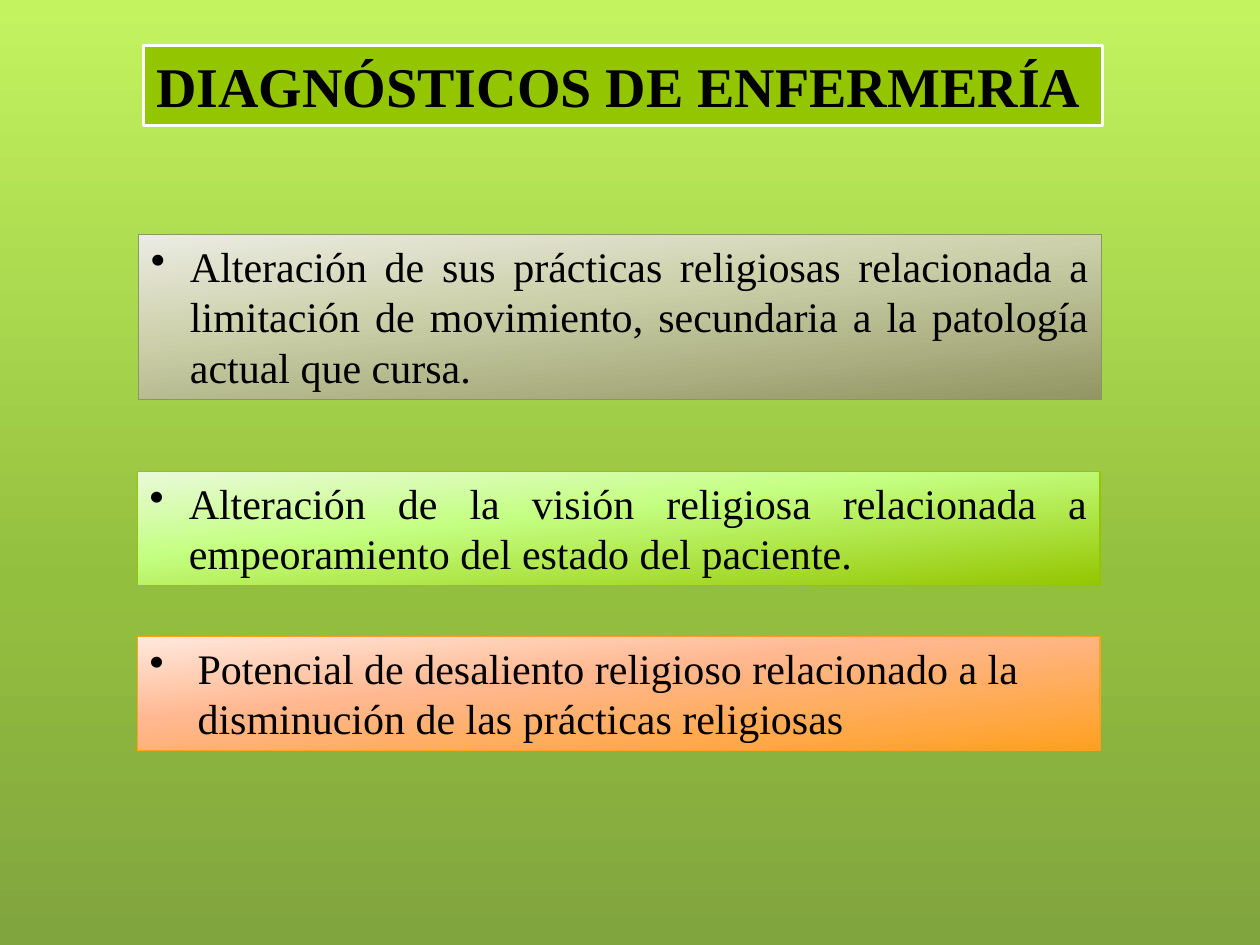
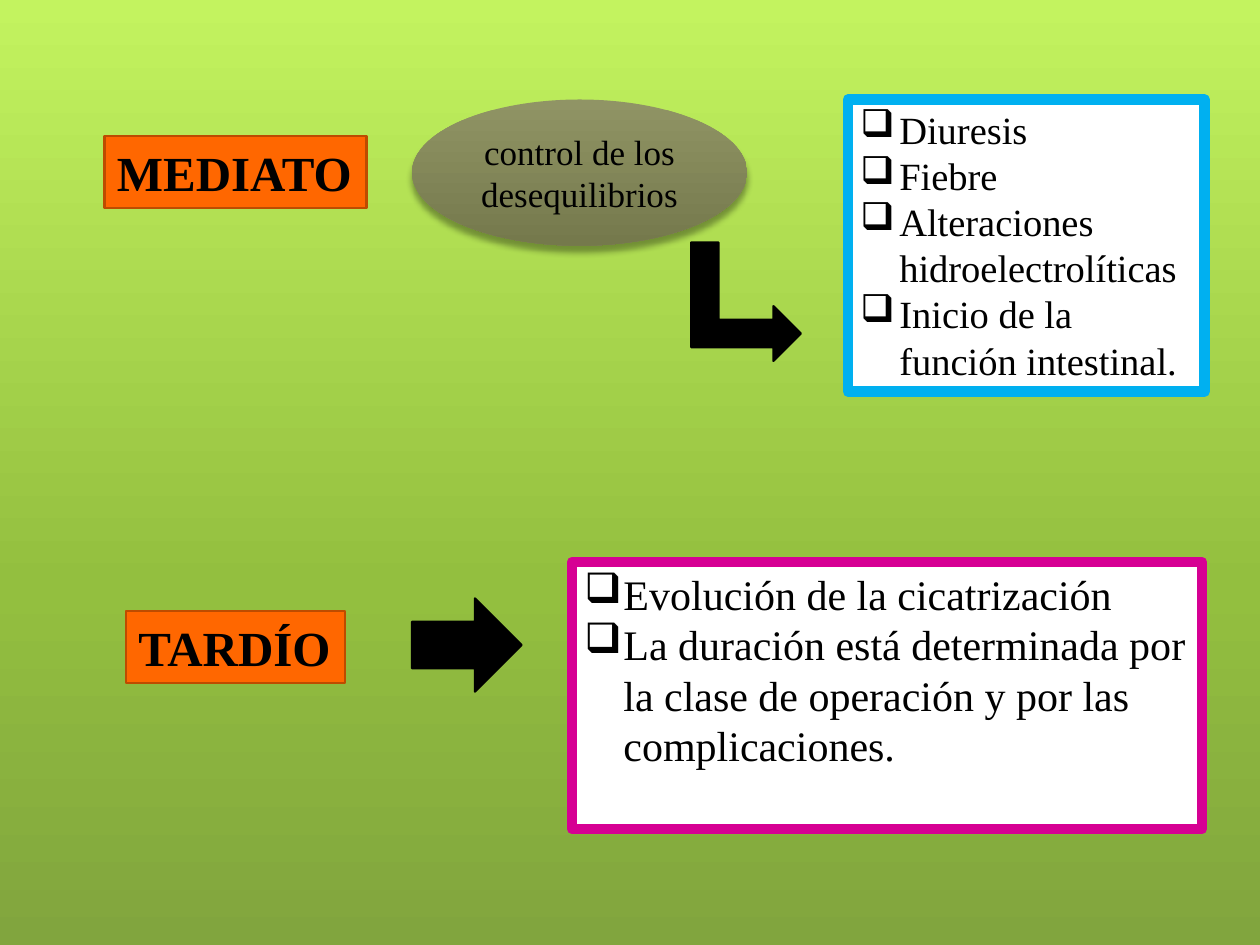
"""Build two nursing slides: diagnoses, and mediate and late care."""
import pptx
import pptx.util
import pptx.dml.color
import pptx.enum.shapes
import pptx.enum.text
import pptx.oxml.ns
from lxml import etree

Pt, Inches = pptx.util.Pt, pptx.util.Inches
RGB = pptx.dml.color.RGBColor
KIND = pptx.enum.shapes.MSO_SHAPE
ALIGN = pptx.enum.text.PP_ALIGN
ANCHOR = pptx.enum.text.MSO_ANCHOR
qn = pptx.oxml.ns.qn

WIDE, HIGH = Inches(10), Inches(7.5)
FONT = "Times New Roman"
BLACK, WHITE = RGB(0, 0, 0), RGB(255, 255, 255)
GREEN = RGB(0x94, 0xC6, 0x00)
ORANGE, RUST = RGB(0xFF, 0x67, 0x00), RGB(0xBD, 0x4C, 0x00)
BLUE, PINK = RGB(0x00, 0xB0, 0xF0), RGB(0xD6, 0x00, 0x93)
OLIVE, AMBER = RGB(0x90, 0x94, 0x65), RGB(0xFE, 0xA0, 0x22)
MOSS = RGB(0x75, 0x79, 0x4C)

BACK = [(0, RGB(0xC3, 0xF3, 0x5F)), (62, RGB(0x93, 0xBF, 0x3F)),
        (100, RGB(0x81, 0xA5, 0x3E))]
STONE = [(0, RGB(0xEB, 0xEC, 0xE3)), (40, RGB(0xCD, 0xD1, 0xAB)),
         (100, RGB(0x92, 0x96, 0x63))]
LIME = [(0, RGB(0xEA, 0xF9, 0xDA)), (40, RGB(0xC4, 0xFF, 0x82)), (100, GREEN)]
PEACH = [(0, RGB(0xFF, 0xE9, 0xDE)), (40, RGB(0xFF, 0xB7, 0x8F)),
         (100, RGB(0xFF, 0xA0, 0x21))]
DUSK = [(0, OLIVE), (100, MOSS)]


def shade(fill, root, stops, angle):
    """Fill with a gradient of (percent, colour) stops, angle clockwise."""
    fill.gradient()
    fill.gradient_angle = 360 - angle
    ramp = root.find(".//" + qn("a:gsLst"))
    for old in list(ramp):
        ramp.remove(old)
    for place, color in stops:
        stop = etree.SubElement(ramp, qn("a:gs"), pos=str(place * 1000))
        etree.SubElement(stop, qn("a:srgbClr"), val=str(color))


def add_page(deck):
    """Add a blank slide with the shared green background."""
    page = deck.slides.add_slide(deck.slide_layouts[6])
    shade(page.background.fill, page.element, BACK, 90)
    return page


def add_form(page, kind, at, fill, edge=None, width=1.25, angle=84):
    """Add a shape placed in percent of the slide, solid or gradient."""
    left, top, wide, high = at
    form = page.shapes.add_shape(
        kind, int(WIDE * left / 100), int(HIGH * top / 100),
        int(WIDE * wide / 100), int(HIGH * high / 100))
    form.shadow.inherit = False
    if isinstance(fill, list):
        shade(form.fill, form.element, fill, angle)
    else:
        form.fill.solid()
        form.fill.fore_color.rgb = fill
    if edge is None:
        form.line.fill.background()
    else:
        form.line.color.rgb = edge
        form.line.width = Pt(width)
    return form


def write(form, lines, size, bold=False, align=ALIGN.LEFT, mark=None,
          indent=0.31, wrap=True, anchor=ANCHOR.TOP):
    """Write one paragraph per line, with a hanging bullet if marked."""
    frame = form.text_frame
    frame.word_wrap = wrap
    frame.vertical_anchor = anchor
    frame.text = "\n".join(lines)
    for para in frame.paragraphs:
        para.alignment = align
        if mark:
            props = para._p.get_or_add_pPr()
            props.set("marL", str(Inches(indent)))
            props.set("indent", str(-Inches(indent)))
            etree.SubElement(props, qn("a:buChar"), char=mark)
        font = para.font
        font.name, font.size, font.bold = FONT, Pt(size), bold
        font.color.rgb = BLACK


def add_label(page, at, text, size, fill, edge, width=1.25):
    """Add a bold one-line label."""
    form = add_form(page, KIND.RECTANGLE, at, fill, edge, width)
    write(form, [text], size, bold=True, wrap=False)


def add_list(page, at, lines, size, fill, edge, width, mark, **style):
    """Add a framed list of bulleted lines."""
    form = add_form(page, KIND.RECTANGLE, at, fill, edge, width)
    write(form, lines, size, mark=mark, **style)


def cast(form):
    """Give a shape a soft shadow below it."""
    effects = form.element.spPr.find(qn("a:effectLst"))
    drop = etree.SubElement(effects, qn("a:outerShdw"), blurRad=str(Pt(3.5)),
                            dist=str(Pt(4)), dir="5400000", rotWithShape="0")
    color = etree.SubElement(drop, qn("a:srgbClr"), val=str(BLACK))
    etree.SubElement(color, qn("a:alpha"), val="34000")


def add_cases(deck):
    """Build the slide of nursing diagnoses."""
    page = add_page(deck)
    add_label(page, (11.4, 4.8, 76.1, 8.53), "DIAGNÓSTICOS DE ENFERMERÍA",
              32, GREEN, WHITE, 1.75)
    cases = [
        ((11, 24.8, 76.4, 17.47), STONE, OLIVE, ALIGN.JUSTIFY, 0.31,
         "Alteración de sus prácticas religiosas relacionada a limitación "
         "de movimiento, secundaria a la patología actual que cursa."),
        ((10.9, 49.87, 76.4, 12.13), LIME, GREEN, ALIGN.JUSTIFY, 0.31,
         "Alteración de la visión religiosa relacionada a empeoramiento "
         "del estado del paciente."),
        ((10.9, 67.33, 76.4, 12.13), PEACH, AMBER, ALIGN.LEFT, 0.38,
         "Potencial de desaliento religioso relacionado a la disminución "
         "de las prácticas religiosas"),
    ]
    for at, fill, edge, align, indent, text in cases:
        add_list(page, at, [text], 24, fill, edge, 0.75, "•",
                 align=align, indent=indent)


def add_care(deck):
    """Build the slide of mediate and late care."""
    page = add_page(deck)
    add_label(page, (8.3, 14.4, 20.8, 7.6), "MEDIATO", 28, ORANGE, RUST)
    add_label(page, (10, 64.67, 17.4, 7.6), "TARDÍO", 28, ORANGE, RUST)
    add_list(page, (67.3, 10.53, 28.3, 30.93),
             ["Diuresis", "Fiebre", "Alteraciones hidroelectrolíticas",
              "Inicio de la función intestinal."],
             22, WHITE, BLUE, 6, "❑")
    add_list(page, (45.4, 59.47, 50, 28.27),
             ["Evolución de la cicatrización",
              "La duración está determinada por la clase de operación "
              "y por las complicaciones."],
             24, WHITE, PINK, 6, "❑")
    oval = add_form(page, KIND.OVAL, (32.7, 10.53, 26.6, 15.47), DUSK,
                    angle=90)
    cast(oval)
    write(oval, ["control de los desequilibrios"], 20, align=ALIGN.CENTER,
          anchor=ANCHOR.MIDDLE)
    bend = add_form(page, KIND.BENT_UP_ARROW, (54.5, 26.13, 9.4, 11.6),
                    BLACK, BLACK)
    bend.rotation = 90
    add_form(page, KIND.RIGHT_ARROW, (32.7, 63.33, 8.7, 9.87), BLACK, BLACK)


def main():
    """Build and save the deck."""
    deck = pptx.Presentation()
    deck.slide_width, deck.slide_height = WIDE, HIGH
    add_cases(deck)
    add_care(deck)
    deck.save("out.pptx")


if __name__ == "__main__":
    main()
